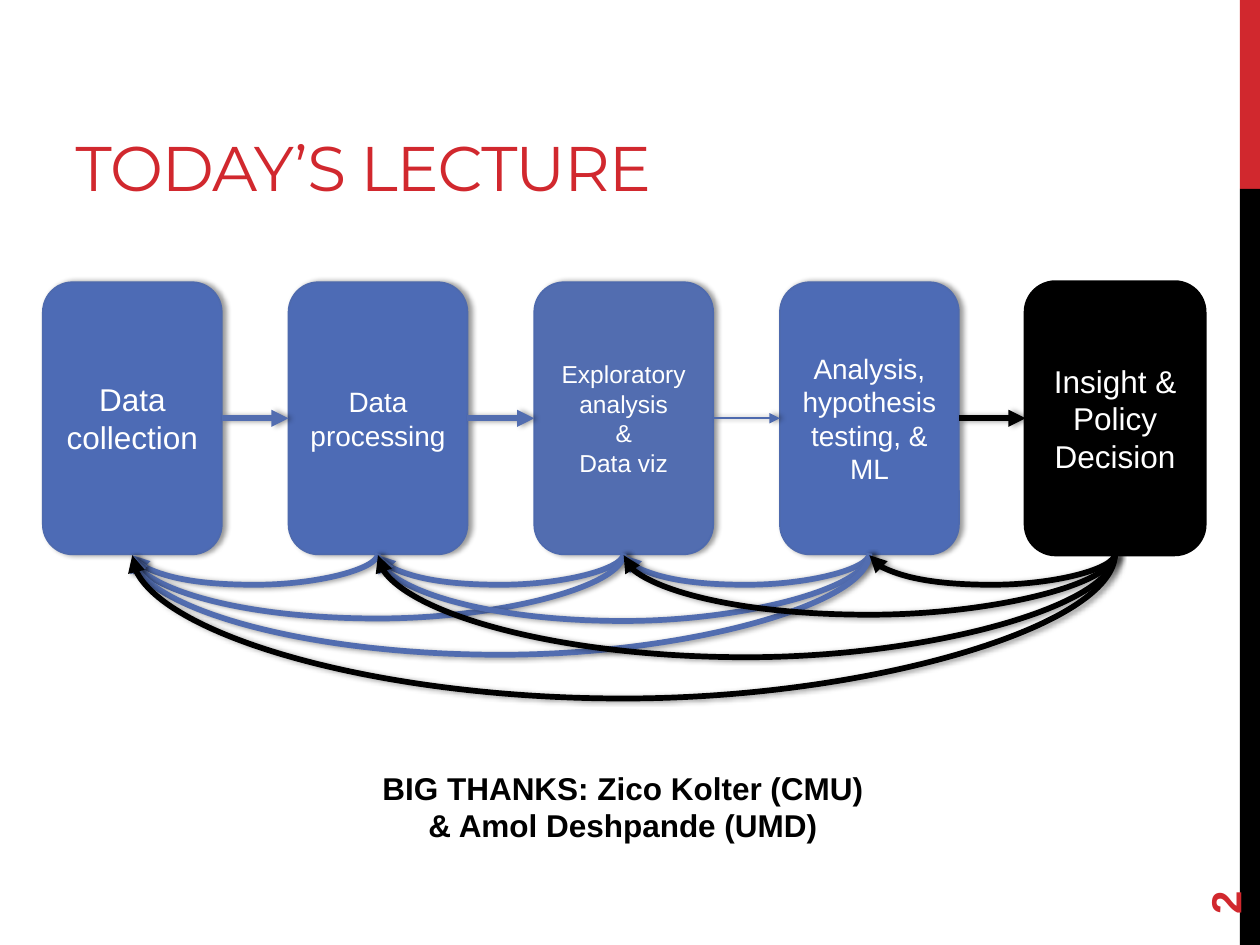
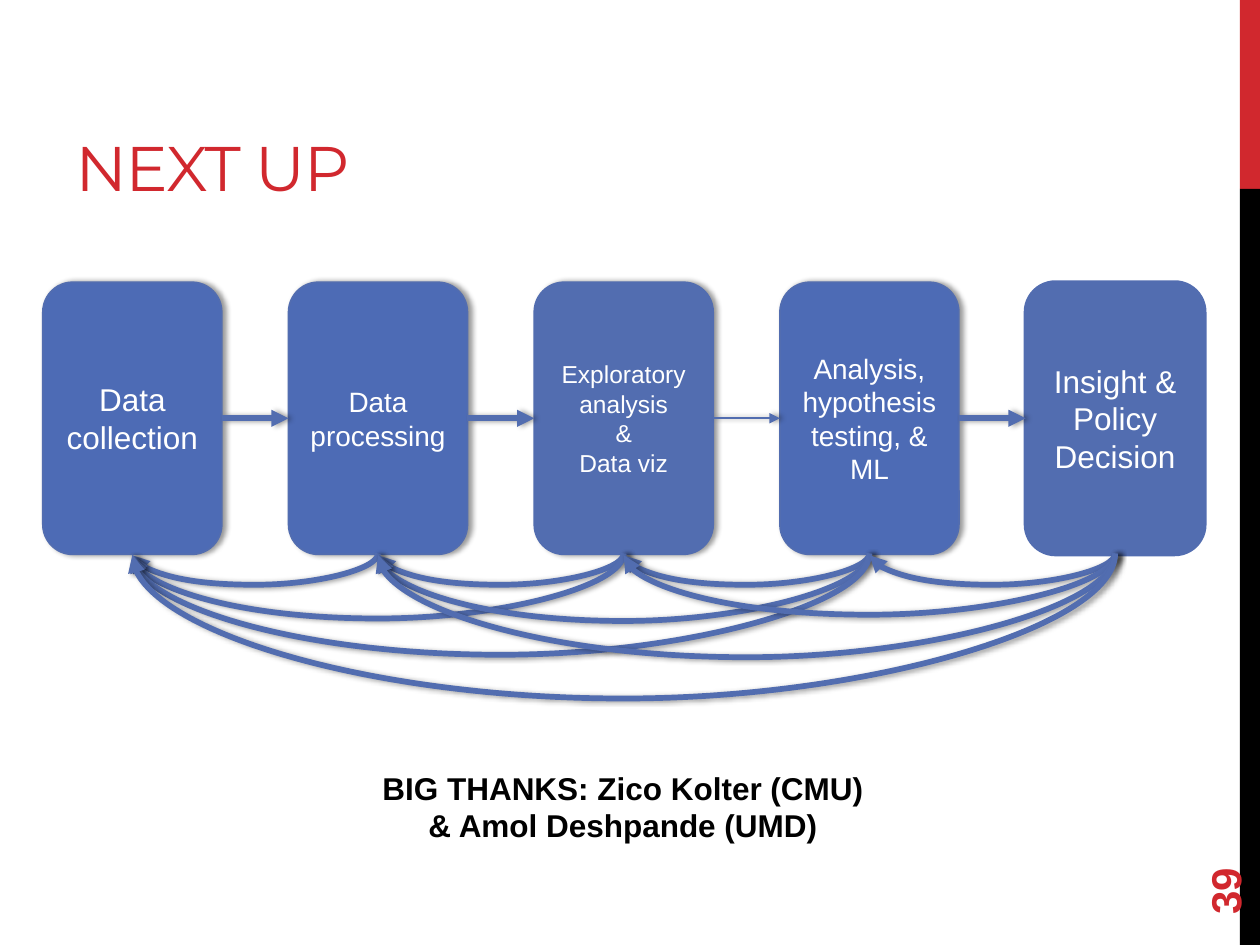
import pptx
import pptx.util
import pptx.dml.color
import pptx.enum.shapes
import pptx.enum.text
import pptx.oxml
import pptx.oxml.ns

Inches, Pt = pptx.util.Inches, pptx.util.Pt
SHAPE = pptx.enum.shapes.MSO_SHAPE
CONNECTOR = pptx.enum.shapes.MSO_CONNECTOR
ALIGN = pptx.enum.text.PP_ALIGN
ANCHOR = pptx.enum.text.MSO_ANCHOR
qn = pptx.oxml.ns.qn

SLIDES = [
    {"title": "TODAY’S LECTURE", "title_width": 6.33, "number": "2",
     "outline": "4E6AAE", "last": "000000"},
    {"title": "NEXT UP", "title_width": 7.63, "number": "39",
     "outline": "526DB0", "last": "526DB0"},
]
STAGES = [
    {"lines": ["Data collection"], "size": 18, "fill": "4D6BB5", "loops": []},
    {"lines": ["Data processing"], "size": 16, "fill": "4D6BB5", "loops": [0.25]},
    {"lines": ["Exploratory analysis", "&", "Data viz"], "size": 14,
     "fill": "526DB0", "loops": [0.25, 0.52]},
    {"lines": ["Analysis, hypothesis testing, & ML"], "size": 16,
     "fill": "4D6BB5", "loops": [0.25, 0.54, 0.81]},
    {"lines": ["Insight & Policy Decision"], "size": 18, "fill": None,
     "loops": [0.25, 0.49, 0.83, 1.16]},
]
THANKS = ["BIG THANKS: Zico Kolter (CMU)", "& Amol Deshpande (UMD)"]
THIN_ARROW = 3

THEME = {
    "red": "D1282E", "black": "000000", "white": "FFFFFF", "arrow": "526DB0",
    "title_font": "Montserrat", "font": "Arial",
    "title": 36, "number": 24, "thanks": 18,
    "thin": 1, "edge": 2.25, "thick": 3.25,
}
BANDS = [(0, 1.5, THEME["red"]), (1.5, 6, THEME["black"])]
LEFT, TOP, WIDTH, HEIGHT, PITCH = 0.34, 2.24, 1.42, 2.16, 1.95
NS = 'xmlns:a="http://schemas.openxmlformats.org/drawingml/2006/main"'
SHADOW = (f'<a:effectLst {NS}><a:outerShdw blurRad="40000" dist="23000" dir="0" '
          'rotWithShape="0"><a:srgbClr val="000000"><a:alpha val="40000"/>'
          '</a:srgbClr></a:outerShdw></a:effectLst>')


def rgb(value):
    return pptx.dml.color.RGBColor.from_string(value)


def inches(*values):
    return [Inches(v) for v in values]


def set_all(obj, values):
    for name, value in values.items():
        setattr(obj, name, value)


def write(sp, lines, size, color, align=ALIGN.CENTER, anchor=ANCHOR.MIDDLE,
          font=THEME["font"], bold=False):
    tf = sp.text_frame
    set_all(tf, {"word_wrap": True, "vertical_anchor": anchor,
                 "auto_size": pptx.enum.text.MSO_AUTO_SIZE.NONE})
    for i, line in enumerate(lines):
        p = tf.add_paragraph() if i else tf.paragraphs[0]
        p.alignment = align
        r = p.add_run()
        r.text = line
        set_all(r.font, {"size": Pt(size), "name": font, "bold": bold})
        r.font.color.rgb = rgb(color)


def add_box(slide, kind, place, fill, outline=None, width=1):
    sp = slide.shapes.add_shape(kind, *inches(*place))
    sp.shadow.inherit = False
    sp.fill.solid()
    sp.fill.fore_color.rgb = rgb(fill)
    if outline:
        sp.line.color.rgb = rgb(outline)
        sp.line.width = Pt(width)
    else:
        sp.line.fill.background()
    return sp


def cast_shadow(sp):
    spPr = sp._element.spPr
    effect = pptx.oxml.parse_xml(SHADOW)
    old = spPr.find(qn("a:effectLst"))
    if old is None:
        spPr.append(effect)
    else:
        spPr.replace(old, effect)


def add_arrow(slide, kind, begin, begin_site, end, end_site, color, width):
    cx = slide.shapes.add_connector(kind, 0, 0, 0, 0)
    cx.begin_connect(begin, begin_site)
    cx.end_connect(end, end_site)
    cx.line.color.rgb = rgb(color)
    cx.line.width = Pt(width)
    cx.line._get_or_add_ln().append(
        pptx.oxml.parse_xml(f'<a:tailEnd {NS} type="triangle"/>'))
    cast_shadow(cx)
    return cx


def add_loop(slide, begin, end, depth, color):
    cx = add_arrow(slide, CONNECTOR.CURVE, begin, 2, end, 2, color, THEME["thick"])
    thickness, span = Pt(1), begin.left - end.left
    center = (begin.left + end.left + begin.width) // 2
    set_all(cx, {"left": center - thickness // 2,
                 "top": begin.top + begin.height - span // 2,
                 "width": thickness, "height": span})
    spPr = cx._element.spPr
    xfrm = spPr.find(qn("a:xfrm"))
    xfrm.attrib.clear()
    xfrm.set("rot", "5400000")
    adj = round(Inches(depth) / thickness * 100000)
    geom = spPr.find(qn("a:prstGeom"))
    geom.find(qn("a:avLst")).append(
        pptx.oxml.parse_xml(f'<a:gd {NS} name="adj1" fmla="val {adj}"/>'))


def add_frame(slide, page):
    for top, height, color in BANDS:
        add_box(slide, SHAPE.RECTANGLE, (9.84, top, 0.16, height), color)
    title = slide.shapes.title
    left, top, width, height = inches(0.5, 0.17, page["title_width"], 1.5)
    set_all(title, {"left": left, "top": top, "width": width, "height": height})
    write(title, [page["title"]], THEME["title"], THEME["red"], ALIGN.LEFT,
          ANCHOR.BOTTOM, THEME["title_font"])
    title.text_frame.paragraphs[0].runs[0].font._element.set("spc", "-60")


def add_pipeline(slide, page):
    boxes = []
    for i, stage in enumerate(STAGES):
        last = i == len(STAGES) - 1
        sp = add_box(slide, SHAPE.ROUNDED_RECTANGLE,
                     (LEFT + i * PITCH, TOP, WIDTH, HEIGHT),
                     stage["fill"] or page["last"],
                     page["last"] if last else page["outline"],
                     THEME["edge"] if last else THEME["thin"])
        if not last:
            cast_shadow(sp)
        write(sp, stage["lines"], stage["size"], THEME["white"])
        color = page["last"] if last else THEME["arrow"]
        if boxes:
            thin = i == THIN_ARROW
            add_arrow(slide, CONNECTOR.STRAIGHT, boxes[-1], 3, sp, 1,
                      page["outline"] if thin else color,
                      THEME["thin"] if thin else THEME["thick"])
        for back, depth in enumerate(stage["loops"], 1):
            add_loop(slide, sp, boxes[i - back], depth, color)
        boxes.append(sp)


def add_notes_below(slide, page):
    number = slide.shapes.add_textbox(*inches(9, 6.44, 1.44, 0.4))
    number.rotation = 270
    write(number, [page["number"]], THEME["number"], THEME["red"], ALIGN.LEFT, bold=True)
    thanks = slide.shapes.add_textbox(*inches(2.41, 6.05, 5.07, 0.71))
    write(thanks, THANKS, THEME["thanks"], THEME["black"], anchor=ANCHOR.TOP, bold=True)


def main():
    prs = pptx.Presentation()
    prs.slide_width, prs.slide_height = inches(10, 7.5)
    for page in SLIDES:
        slide = prs.slides.add_slide(prs.slide_layouts[5])
        add_frame(slide, page)
        add_pipeline(slide, page)
        add_notes_below(slide, page)
    prs.save("out.pptx")


if __name__ == "__main__":
    main()
